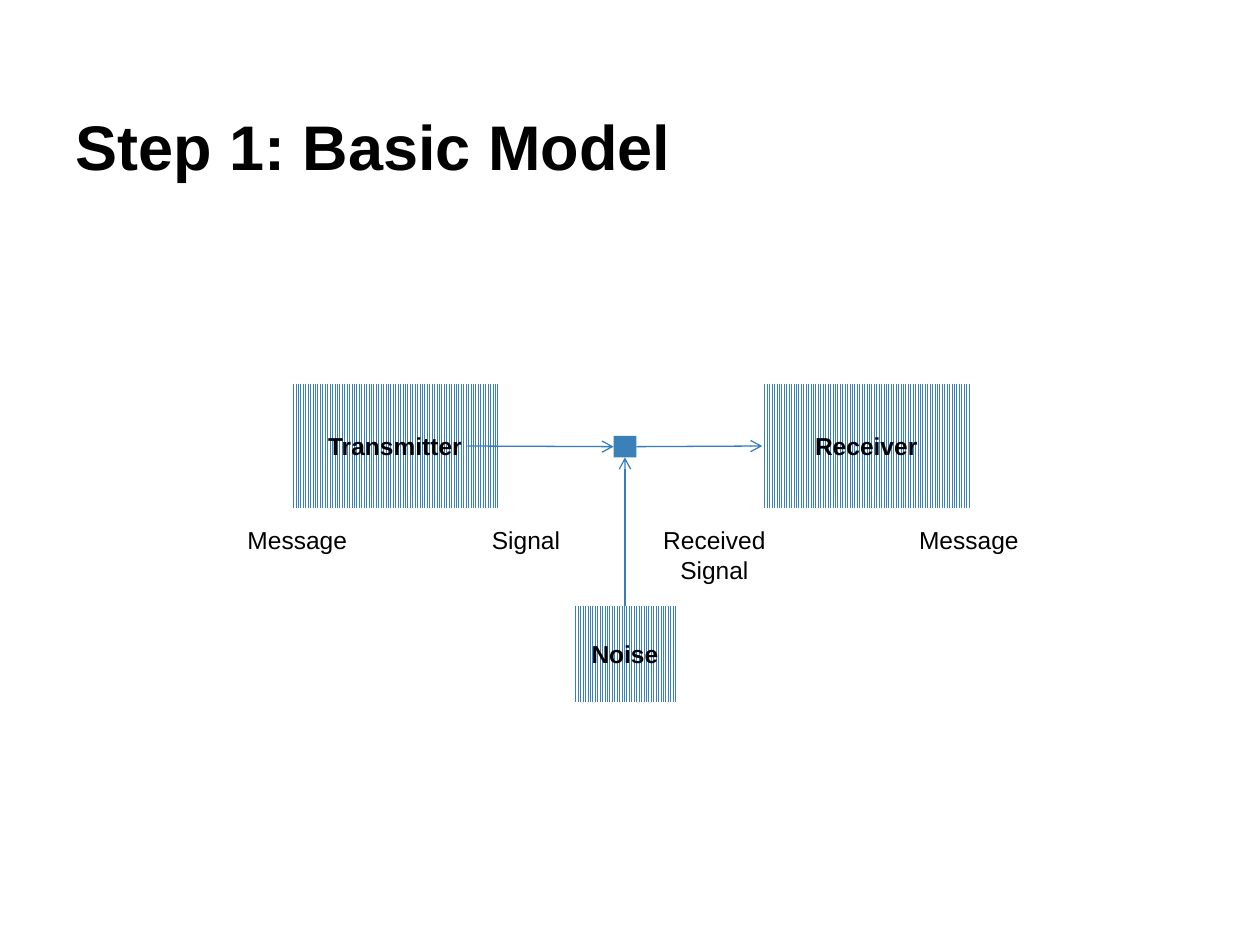
from dataclasses import dataclass

from lxml.etree import SubElement
from pptx import Presentation
from pptx.dml.color import RGBColor
from pptx.enum.dml import MSO_PATTERN
from pptx.enum.shapes import MSO_CONNECTOR, MSO_SHAPE
from pptx.enum.text import MSO_ANCHOR, MSO_AUTO_SIZE, PP_ALIGN
from pptx.oxml.ns import qn
from pptx.util import Inches, Pt


@dataclass(frozen=True)
class Theme:
    font: str = "Arial"
    ink: RGBColor = RGBColor(0, 0, 0)
    paper: RGBColor = RGBColor(255, 255, 255)
    block: RGBColor = RGBColor(0x3A, 0x81, 0xBA)
    wire: RGBColor = RGBColor(0x36, 0x7E, 0xB9)
    title: Pt = Pt(36)
    body: Pt = Pt(14)
    stroke: Pt = Pt(0.75)


THEME = Theme()
TOP, LEFT, BOTTOM, RIGHT = range(4)

TITLE = ("Step 1: Basic Model", (0.5, 0.3, 9, 1.25))
BLOCKS = {
    "Receiver": (6.05, 3.05, 1.65, 0.98),
    "Transmitter": (2.31, 3.05, 1.65, 0.98),
    "Noise": (4.55, 4.81, 0.82, 0.76),
}
JUNCTION = (4.87, 3.46, 0.18, 0.17)
SIGNAL_START = (3.71, 3.54)
LABEL_TOP = 4.12
LABELS = [  # text, left, width, height
    ("Message", 1.86, 1, 0.34),
    ("Signal", 3.8, 0.75, 0.34),
    ("Received\nSignal", 5.16, 1.02, 0.57),
    ("Message", 7.19, 1, 0.34),
]


def write(frame, text, size, bold=False, align=PP_ALIGN.CENTER):
    frame.text = text
    for para in frame.paragraphs:
        para.alignment = align
        font = para.font
        font.name, font.size, font.bold = THEME.font, size, bold
        font.color.rgb = THEME.ink


def add_rect(slide, place):
    rect = slide.shapes.add_shape(MSO_SHAPE.RECTANGLE, *map(Inches, place))
    rect.shadow.inherit = False
    rect.line.fill.background()
    return rect


def add_block(slide, name, place):
    block = add_rect(slide, place)
    block.fill.patterned()
    block.fill.pattern = MSO_PATTERN.LIGHT_VERTICAL
    block.fill.fore_color.rgb = THEME.block
    block.fill.back_color.rgb = THEME.paper
    block.text_frame.word_wrap = False
    block.text_frame.vertical_anchor = MSO_ANCHOR.MIDDLE
    write(block.text_frame, name, THEME.body, bold=True)
    return block


def add_label(slide, text, left, width, height):
    place = map(Inches, (left, LABEL_TOP, width, height))
    frame = slide.shapes.add_textbox(*place).text_frame
    frame.word_wrap = False
    frame.auto_size = MSO_AUTO_SIZE.SHAPE_TO_FIT_TEXT
    write(frame, text, THEME.body)


def add_arrow(slide, start, end):
    """Draw an arrow to a (shape, side) from another one, or from an (x, y) point."""
    point = (0, 0) if isinstance(start[0], type(end[0])) else map(Inches, start)
    wire = slide.shapes.add_connector(MSO_CONNECTOR.STRAIGHT, *point, 0, 0)
    if isinstance(start[0], type(end[0])):
        wire.begin_connect(*start)
    wire.end_connect(*end)
    wire.line.color.rgb = THEME.wire
    wire.line.width = THEME.stroke
    SubElement(wire.line._get_or_add_ln(), qn("a:tailEnd"), type="arrow")
    SubElement(wire._element.spPr, qn("a:effectLst"))


def add_title(slide, text, place):
    frame = slide.shapes.add_textbox(*map(Inches, place)).text_frame
    frame.word_wrap = True
    frame.vertical_anchor = MSO_ANCHOR.BOTTOM
    frame.margin_left = frame.margin_right = Inches(0.1)
    frame.margin_top = frame.margin_bottom = Inches(0.1)
    write(frame, text, THEME.title, bold=True, align=PP_ALIGN.LEFT)


def main():
    deck = Presentation()
    deck.slide_width, deck.slide_height = Inches(10), Inches(7.5)
    slide = deck.slides.add_slide(deck.slide_layouts[6])

    blocks = {name: add_block(slide, name, place) for name, place in BLOCKS.items()}
    node = add_rect(slide, JUNCTION)
    node.fill.solid()
    node.fill.fore_color.rgb = THEME.block

    add_arrow(slide, SIGNAL_START, (node, LEFT))
    add_arrow(slide, (node, RIGHT), (blocks["Receiver"], LEFT))
    add_arrow(slide, (blocks["Noise"], TOP), (node, BOTTOM))
    for label in LABELS:
        add_label(slide, *label)
    add_title(slide, *TITLE)
    deck.save("out.pptx")


if __name__ == "__main__":
    main()
